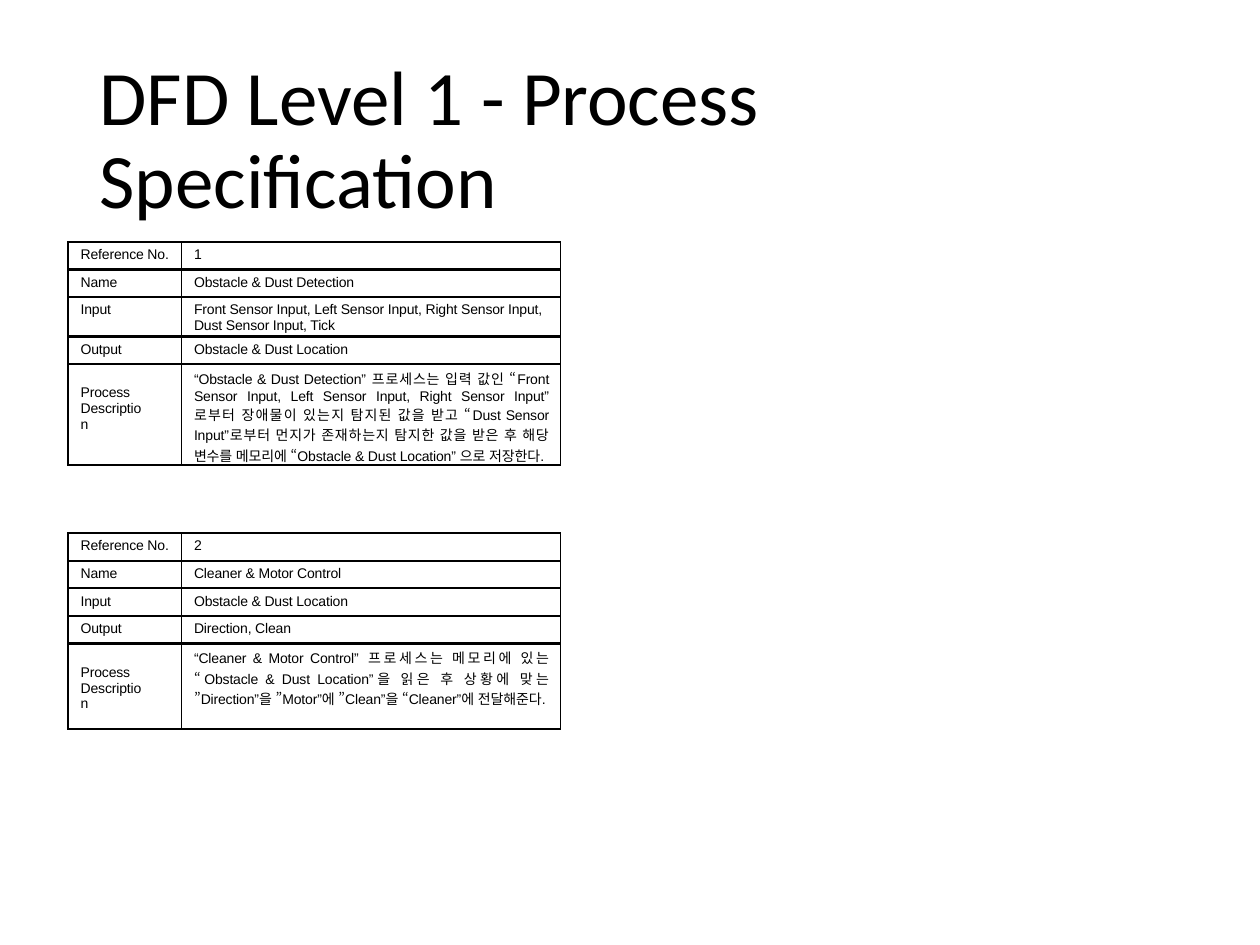
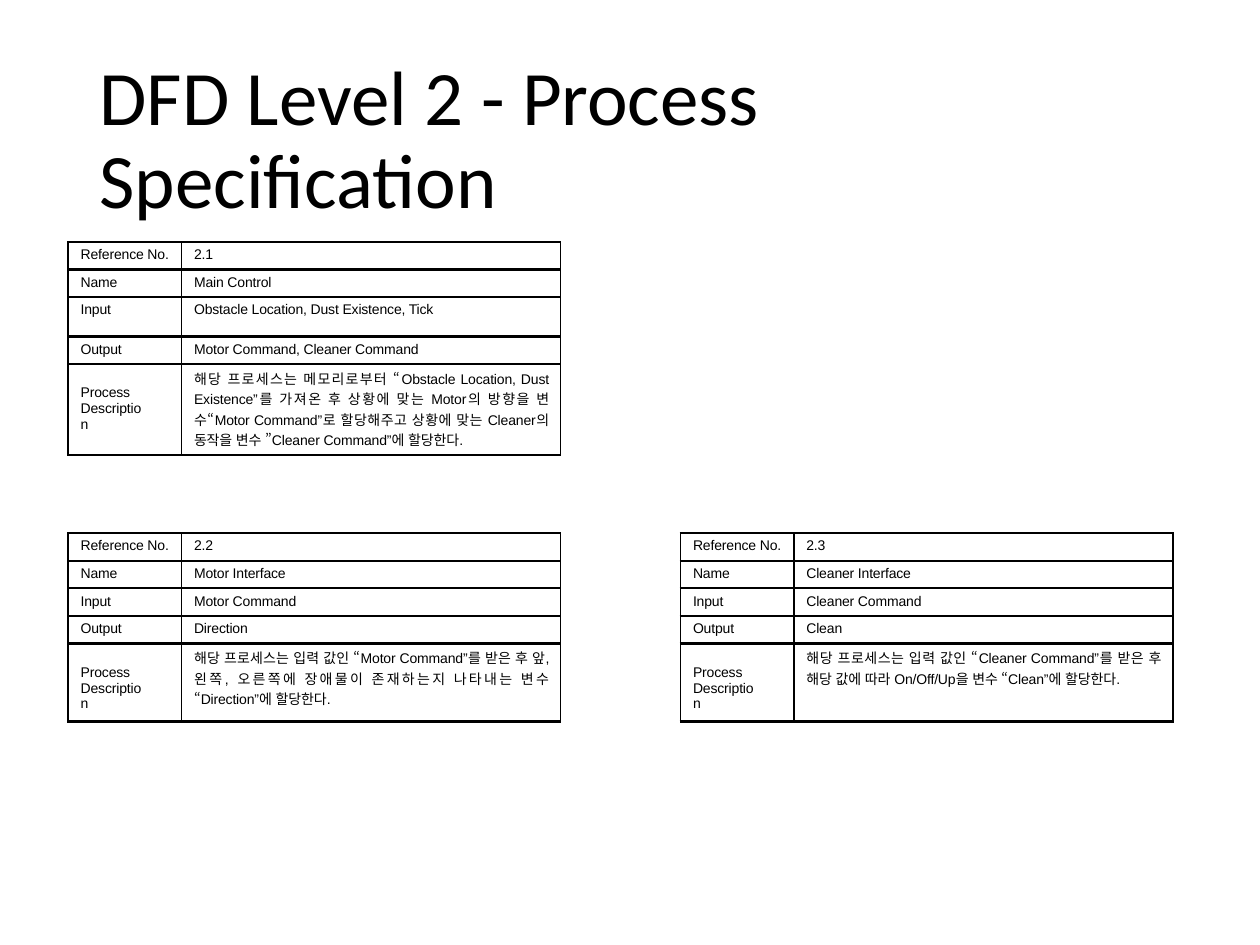
from pptx import Presentation
from pptx.dml.color import RGBColor
from pptx.enum.lang import MSO_LANGUAGE_ID as Lang
from pptx.enum.text import MSO_ANCHOR as Anchor, MSO_AUTO_SIZE as Fit, PP_ALIGN as Align
from pptx.oxml import parse_xml
from pptx.oxml.ns import nsdecls
from pptx.util import Pt

INK = "000000"
LABELS = ["Reference No.", "Name", "Input", "Output", "Process Description"]
LEFT, RIGHT = 38.9, 388.8
UPPER, LOWER = 138.2, 304.6
COLS = [64.8, 216.7]
ROW = 15.8
TALL = {UPPER: (22.5, 51.8), LOWER: (ROW, 44.6)}

SLIDES = [
    ("DFD Level 1 - Process Specification", [
        (LEFT, UPPER, [
            "1", "Obstacle & Dust Detection",
            "Front Sensor Input, Left Sensor Input, Right Sensor Input, Dust Sensor Input, Tick",
            "Obstacle & Dust Location",
            "“Obstacle & Dust Detection” 프로세스는 입력 값인 “Front Sensor Input, Left Sensor Input, "
            "Right Sensor Input” 로부터 장애물이 있는지 탐지된 값을 받고 “Dust Sensor Input”로부터 "
            "먼지가 존재하는지 탐지한 값을 받은 후 해당 변수를 메모리에 “Obstacle & Dust Location” "
            "으로 저장한다."]),
        (LEFT, LOWER, [
            "2", "Cleaner & Motor Control", "Obstacle & Dust Location", "Direction, Clean",
            "“Cleaner & Motor Control” 프로세스는 메모리에 있는 “Obstacle & Dust Location”을 읽은 후 "
            "상황에 맞는 ”Direction”을 ”Motor”에 ”Clean”을 “Cleaner”에 전달해준다."]),
    ]),
    ("DFD Level 2 - Process Specification", [
        (LEFT, UPPER, [
            "2.1", "Main Control", "Obstacle Location, Dust Existence, Tick",
            "Motor Command, Cleaner Command",
            "해당 프로세스는 메모리로부터 “Obstacle Location, Dust Existence”를 가져온 후 상황에 맞는 "
            "Motor의 방향을 변수“Motor Command”로 할당해주고 상황에 맞는 Cleaner의 동작을 변수 "
            "”Cleaner Command”에 할당한다."]),
        (LEFT, LOWER, [
            "2.2", "Motor Interface", "Motor Command", "Direction",
            "해당 프로세스는 입력 값인 “Motor Command”를 받은 후 앞, 왼쪽, 오른쪽에 장애물이 "
            "존재하는지 나타내는 변수 “Direction”에 할당한다."]),
        (RIGHT, LOWER, [
            "2.3", "Cleaner Interface", "Cleaner Command", "Clean",
            "해당 프로세스는 입력 값인 “Cleaner Command”를 받은 후 해당 값에 따라 On/Off/Up을 "
            "변수 “Clean”에 할당한다."]),
    ]),
]


def paint(font, face, size, ink=INK):
    font.name, font.size = face, Pt(size)
    font.color.rgb = RGBColor.from_string(ink)


def frame(cell, first):
    props = cell._tc.get_or_add_tcPr()
    for side, wide in zip("LRTB", (1, 1, 1 if first else 1.5, 1.5)):
        props.append(parse_xml(
            f'<a:ln{side} {nsdecls("a")} w="{Pt(wide)}"><a:solidFill>'
            f'<a:srgbClr val="{INK}"/></a:solidFill></a:ln{side}>'))
    cell.fill.background()


def write(cell, text, top, right):
    cell.margin_left, cell.margin_right = Pt(7.2), Pt(right)
    cell.margin_top, cell.margin_bottom = Pt(top), 0
    cell.text_frame.text = text
    run = cell.text_frame.paragraphs[0].runs[0]
    paint(run.font, "Arial", 8)
    run._r.get_or_add_rPr().set("spc", "-10")
    return run


def add_spec(slide, left, top, values):
    mid, last = TALL[top]
    rows = [ROW, ROW, mid, ROW, last]
    grid = slide.shapes.add_table(len(rows), 2, Pt(left), Pt(top),
                                  Pt(sum(COLS)), Pt(sum(rows))).table
    grid.first_row = grid.horz_banding = False
    for col, wide in zip(grid.columns, COLS):
        col.width = Pt(wide)
    for n, (label, value, high) in enumerate(zip(LABELS, values, rows)):
        grid.rows[n].height = Pt(high)
        name, body = grid.cell(n, 0), grid.cell(n, 1)
        frame(name, n == 0)
        frame(body, n == 0)
        end = n == len(rows) - 1
        write(name, label, 12 if end else 2.9, 21 if end else 0)
        run = write(body, value, 2.2 if end else 2.9, 6.6)
        if end:
            body.text_frame.paragraphs[0].alignment = Align.JUSTIFY
            run.font.language_id = Lang.KOREAN


def add_title(slide, text):
    title = slide.shapes.title
    title.left, title.top, title.width, title.height = map(Pt, (49.7, 28.8, 620.6, 104.4))
    box = title.text_frame
    box.text = text
    box.auto_size, box.vertical_anchor = Fit.NONE, Anchor.MIDDLE
    para = box.paragraphs[0]
    para.alignment, para.line_spacing = Align.LEFT, 0.9
    paint(para.runs[0].font, "Calibri", 44)


def main():
    """Build the process specification slides."""
    deck = Presentation()
    deck.slide_width, deck.slide_height = Pt(720), Pt(540)
    for title, specs in SLIDES:
        slide = deck.slides.add_slide(deck.slide_layouts[5])
        add_title(slide, title)
        for spec in specs:
            add_spec(slide, *spec)
    deck.save("out.pptx")


if __name__ == "__main__":
    main()
